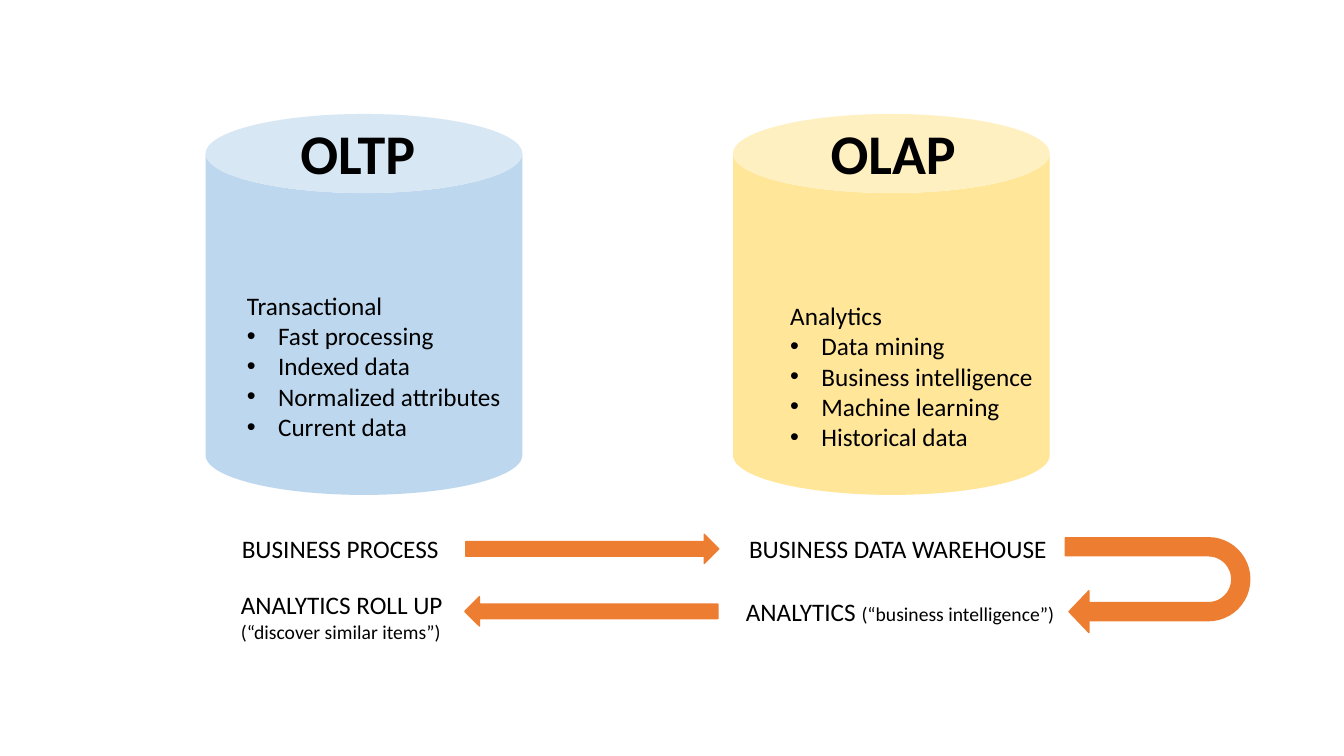
from lxml.etree import SubElement
from pptx import Presentation
from pptx.dml.color import RGBColor
from pptx.enum.shapes import MSO_SHAPE
from pptx.enum.text import MSO_AUTO_SIZE
from pptx.oxml.ns import qn
from pptx.util import Inches, Pt

WIDTH, HEIGHT = Inches(13.33), Inches(7.5)
COLORS = {"oltp": "BDD7EE", "olap": "FFE699", "flow": "ED7D31", "ink": "000000"}
STORES = [
    ("OLTP", "oltp", 15.3, 21.61, (17.63, 37.73, 22.51, 21.6),
     ["Transactional", "Fast processing", "Indexed data",
      "Normalized attributes", "Current data"]),
    ("OLAP", "olap", 54.54, 61.07, (58.06, 39.07, 20.71, 21.6),
     ["Analytics", "Data mining", "Business intelligence",
      "Machine learning", "Historical data"]),
]
STAGES = [
    ((17.25, 69.87, 22.51, 5.33), "BUSINESS PROCESS", ""),
    ((54.99, 69.87, 26.78, 5.33), "BUSINESS DATA WAREHOUSE", ""),
    ((17.18, 77.33, 22.51, 8.53), "ANALYTICS ROLL UP ", "(“discover similar items”)"),
    ((54.76, 78.27, 26.78, 5.33), "ANALYTICS ", "(“business intelligence”)"),
]
FLOWS = [
    (MSO_SHAPE.RIGHT_ARROW, (34.66, 70.67, 18.83, 3.87), 0, []),
    (MSO_SHAPE.RIGHT_ARROW, (34.58, 78.93, 18.83, 3.87), 180, []),
    (MSO_SHAPE.U_TURN_ARROW, (82.6, 65.2, 7.05, 24.4), 90,
     [0.19, 0.22, 0.21, 0.44, 0.98]),
]


def place(left, top, width, height):
    """Turn percentages of the slide into lengths."""
    return (int(WIDTH * left / 100), int(HEIGHT * top / 100),
            int(WIDTH * width / 100), int(HEIGHT * height / 100))


def add_solid(slide, preset, area, color):
    """Draw a flat preset shape without outline."""
    solid = slide.shapes.add_shape(preset, *place(*area))
    solid.shadow.inherit = False
    solid.fill.solid()
    solid.fill.fore_color.rgb = RGBColor.from_string(COLORS[color])
    solid.line.fill.background()
    return solid


def add_flow(slide, preset, area, rotation, bends):
    """Draw a block arrow between two stages."""
    arrow = add_solid(slide, preset, area, "flow")
    arrow.line.color.rgb = RGBColor.from_string(COLORS["flow"])
    arrow.line.width = Pt(1)
    arrow.rotation = rotation
    for index, bend in enumerate(bends):
        arrow.adjustments[index] = bend


def add_frame(slide, area):
    """Add a wrapping text box and return its text frame."""
    frame = slide.shapes.add_textbox(*place(*area)).text_frame
    frame.word_wrap = True
    frame.auto_size = MSO_AUTO_SIZE.SHAPE_TO_FIT_TEXT
    return frame


def add_words(paragraph, words, size=18, bold=False):
    """Append one formatted run."""
    run = paragraph.add_run()
    run.text = words
    run.font.name = "Calibri"
    run.font.size = Pt(size)
    run.font.bold = bold
    run.font.color.rgb = RGBColor.from_string(COLORS["ink"])


def add_bullet(paragraph):
    """Give a paragraph a round bullet and a hanging indent."""
    properties = paragraph._p.get_or_add_pPr()
    properties.set("marL", str(Inches(0.31)))
    properties.set("indent", str(-Inches(0.31)))
    SubElement(properties, qn("a:buFont"), typeface="Arial")
    SubElement(properties, qn("a:buChar"), char="•")


def add_features(slide, area, lines):
    """Write a heading line followed by bulleted features."""
    frame = add_frame(slide, area)
    heading, *features = lines
    add_words(frame.paragraphs[0], heading)
    for feature in features:
        paragraph = frame.add_paragraph()
        add_bullet(paragraph)
        add_words(paragraph, feature)


def add_store(slide, name, color, left, name_left, features_area, lines):
    """Draw a database can with its name and features."""
    add_solid(slide, MSO_SHAPE.CAN, (left, 15.07, 23.56, 50.4), color)
    add_features(slide, features_area, lines)
    title = add_frame(slide, (name_left, 15.07, 14.55, 10.27))
    add_words(title.paragraphs[0], name, 40, True)


def add_stage(slide, area, stage, remark):
    """Label a stage, with a smaller remark where there is one."""
    paragraph = add_frame(slide, area).paragraphs[0]
    add_words(paragraph, stage)
    if remark:
        add_words(paragraph, remark, 14)


def main():
    """Build the OLTP and OLAP comparison slide."""
    deck = Presentation()
    deck.slide_width, deck.slide_height = WIDTH, HEIGHT
    slide = deck.slides.add_slide(deck.slide_layouts[6])
    for store in STORES:
        add_store(slide, *store)
    for stage in STAGES:
        add_stage(slide, *stage)
    for flow in FLOWS:
        add_flow(slide, *flow)
    deck.save("out.pptx")


if __name__ == "__main__":
    main()
